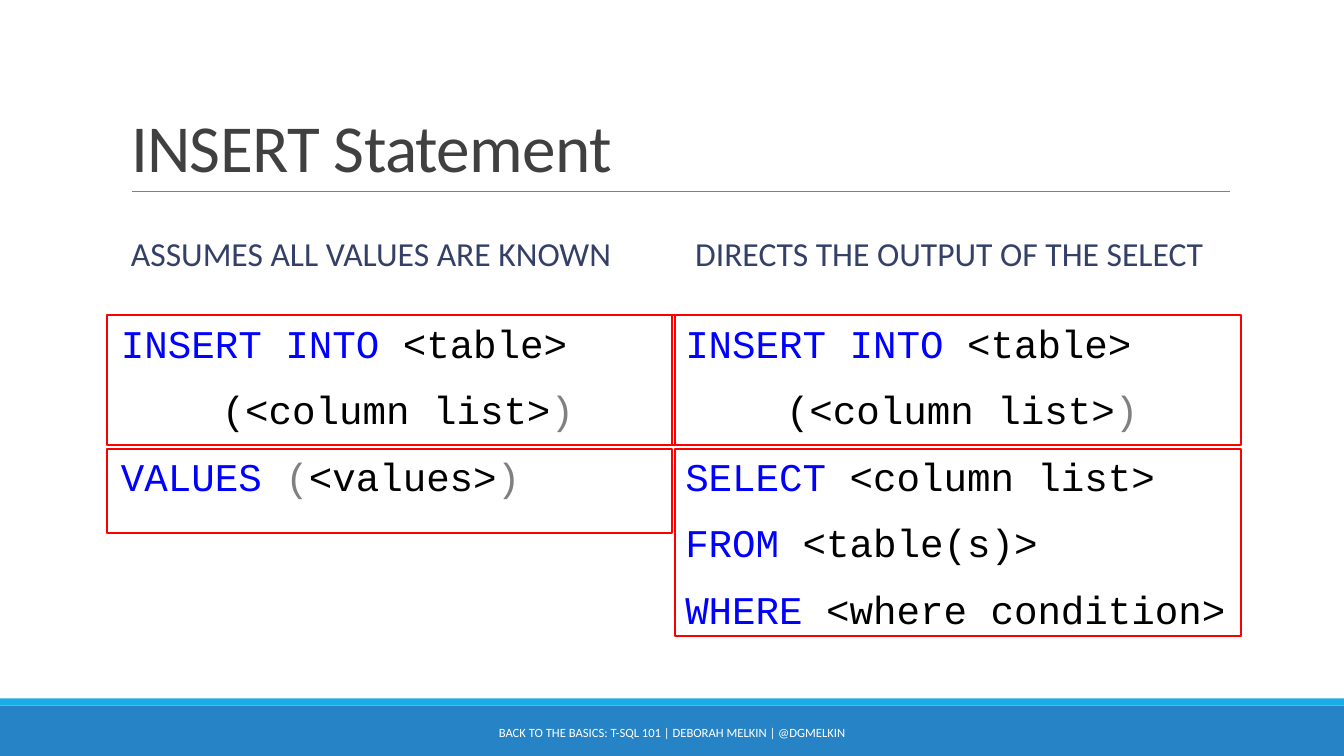
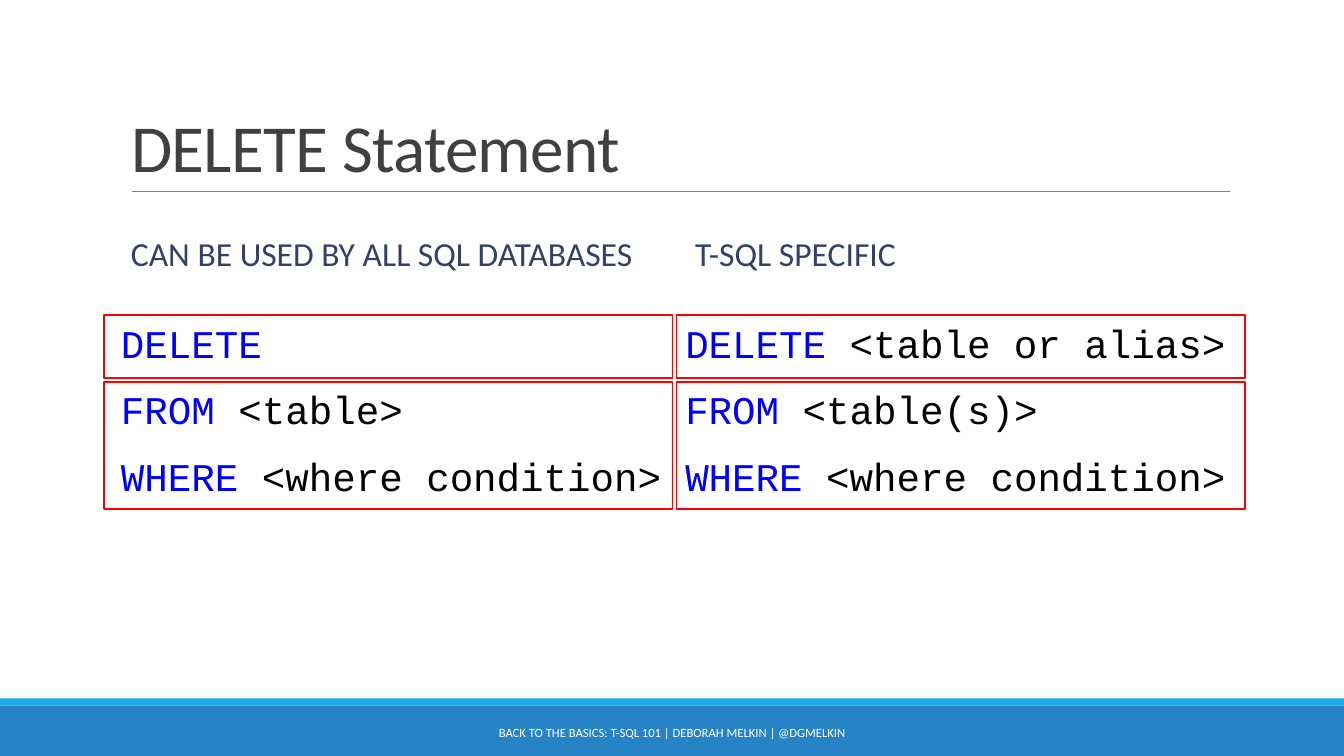
from dataclasses import dataclass

from lxml import etree
from pptx import Presentation
from pptx.dml.color import RGBColor
from pptx.enum import shapes, text
from pptx.oxml.ns import qn
from pptx.util import Cm, Pt


@dataclass(frozen=True)
class Theme:
    sans: str = "Calibri"
    mono: str = "Courier New"
    title: str = "404040"
    heading: str = "344068"
    keyword: str = "0000FF"
    plain: str = "000000"
    bracket: str = "808080"
    rule: str = "808080"
    band: str = "2683C6"
    stripe: str = "1CADE4"
    footer: str = "FFFFFF"
    frame: str = "FF0000"
    title_size: float = 48
    heading_size: float = 24
    code_size: float = 28
    footer_size: float = 9


T = Theme()
FOOTER = "BACK TO THE BASICS: T-SQL 101 | DEBORAH MELKIN | @DGMELKIN"


def clause(keyword, rest=""):
    return 0, [(keyword, T.keyword), (rest, T.plain)]


INSERT_INTO = [
    clause("INSERT INTO", " <table>"),
    (2.54, [("(<column list>", T.plain), (")", T.bracket)]),
]
VALUES = (0, [("VALUES ", T.keyword), ("(", T.bracket),
              ("<values>", T.plain), (")", T.bracket)])
WHERE = clause("WHERE", " <where condition>")
FROM_TABLES = clause("FROM", " <table(s)>")

SLIDES = [
    {
        "title": "INSERT Statement",
        "columns": [
            {
                "heading": "ASSUMES ALL VALUES ARE KNOWN",
                "code": [*INSERT_INTO, VALUES],
                "frames": [(2.69, 14.33, 3.28), (2.69, 14.25, 2.13)],
            },
            {
                "heading": "DIRECTS THE OUTPUT OF THE SELECT",
                "code": [*INSERT_INTO, clause("SELECT", " <column list>"),
                         FROM_TABLES, WHERE],
                "frames": [(16.94, 14.33, 3.28), (17.02, 14.25, 4.72)],
            },
        ],
    },
    {
        "title": "DELETE Statement",
        "columns": [
            {
                "heading": "CAN BE USED BY ALL SQL DATABASES",
                "code": [clause("DELETE"), clause("FROM", " <table>"), WHERE],
                "frames": [(2.62, 14.33, 1.6), (2.62, 14.33, 3.2)],
            },
            {
                "heading": "T-SQL SPECIFIC",
                "code": [clause("DELETE", " <table or alias>"), FROM_TABLES, WHERE],
                "frames": [(17.05, 14.33, 1.6), (17.05, 14.33, 3.2)],
            },
        ],
    },
]

WIDTH, HEIGHT = 33.87, 19.05
LEFT, COLUMN_WIDTH, COLUMN_STEP = 3.05, 13.72, 14.22
CODE_TOP, CODE_HEIGHT = 7.92, 9.1
FRAME_TOP, FRAME_GAP = 7.93, 0.1


def rgb(color):
    return RGBColor.from_string(color)


def style(r, font, size, color):
    r.font.name = font
    r.font.size = Pt(size)
    r.font.color.rgb = rgb(color)


def add_rect(s, box, fill=None, line=None):
    sp = s.shapes.add_shape(shapes.MSO_SHAPE.RECTANGLE, *map(Cm, box))
    sp.shadow.inherit = False
    if fill:
        sp.fill.solid()
        sp.fill.fore_color.rgb = rgb(fill)
    else:
        sp.fill.background()
    if line:
        sp.line.color.rgb = rgb(line)
        sp.line.width = Pt(1.25)
    else:
        sp.line.fill.background()


def add_text(s, box, content, size, color, align=text.PP_ALIGN.LEFT):
    tf = s.shapes.add_textbox(*map(Cm, box)).text_frame
    tf.word_wrap = True
    tf.vertical_anchor = text.MSO_ANCHOR.MIDDLE
    tf.text = content
    p = tf.paragraphs[0]
    p.alignment = align
    p.line_spacing = 0.9
    style(p.runs[0], T.sans, size, color)


def add_code(s, left, lines):
    sp = s.shapes.add_textbox(*map(Cm, (left, CODE_TOP, COLUMN_WIDTH, CODE_HEIGHT)))
    tf = sp.text_frame
    tf.word_wrap = True
    tf.margin_left = tf.margin_right = 0
    for i, (indent, parts) in enumerate(lines):
        p = tf.add_paragraph() if i else tf.paragraphs[0]
        p.space_after = Pt(13.9)
        p._p.get_or_add_pPr().set("marL", str(Cm(indent)))
        for content, color in parts:
            if content:
                r = p.add_run()
                r.text = content
                style(r, T.mono, T.code_size, color)


def add_base(s, title):
    add_rect(s, (0, 17.78, WIDTH, 1.27), fill=T.band)
    add_rect(s, (0, 17.6, WIDTH, 0.18), fill=T.stripe)
    rule = s.shapes.add_connector(shapes.MSO_CONNECTOR.STRAIGHT,
                                  Cm(3.33), Cm(4.83), Cm(31), Cm(4.83))
    rule.line.color.rgb = rgb(T.rule)
    rule.line.width = Pt(0.5)
    etree.SubElement(rule._element.spPr, qn("a:effectLst"))
    add_text(s, (10.24, 17.98, 13.39, 1.02), FOOTER, T.footer_size, T.footer,
             text.PP_ALIGN.CENTER)

    sp = s.shapes.title
    sp.left, sp.top, sp.width, sp.height = map(Cm, (LEFT, 0.79, 27.94, 4.04))
    tf = sp.text_frame
    tf.text = title
    tf.auto_size = text.MSO_AUTO_SIZE.NONE
    tf.vertical_anchor = text.MSO_ANCHOR.BOTTOM
    p = tf.paragraphs[0]
    p.alignment = text.PP_ALIGN.LEFT
    p.line_spacing = 0.85
    r = p.runs[0]
    style(r, T.sans, T.title_size, T.title)
    r._r.get_or_add_rPr().set("spc", "-50")


def add_column(s, left, column):
    add_text(s, (left, 5.41, COLUMN_WIDTH, 2.06), column["heading"],
             T.heading_size, T.heading)
    add_code(s, left, column["code"])
    top = FRAME_TOP
    for frame_left, width, height in column["frames"]:
        add_rect(s, (frame_left, top, width, height), line=T.frame)
        top += height + FRAME_GAP


def main():
    prs = Presentation()
    prs.slide_width, prs.slide_height = Cm(WIDTH), Cm(HEIGHT)
    for slide in SLIDES:
        s = prs.slides.add_slide(prs.slide_layouts[5])
        add_base(s, slide["title"])
        for i, column in enumerate(slide["columns"]):
            add_column(s, LEFT + i * COLUMN_STEP, column)
    prs.save("out.pptx")


if __name__ == "__main__":
    main()
